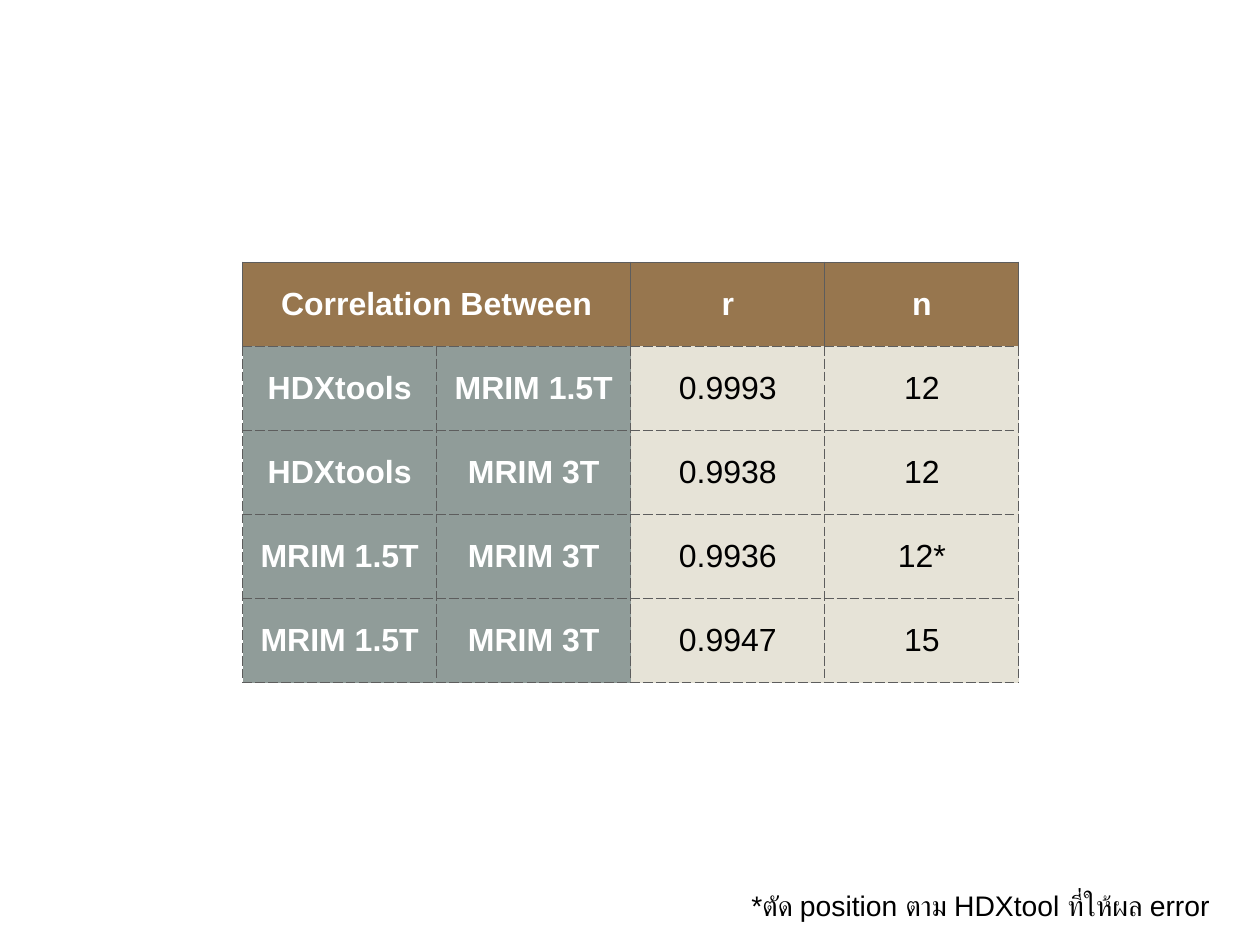
"""Build a slide with a correlation table and a footnote."""
from dataclasses import dataclass

from lxml.etree import SubElement
from pptx import Presentation
from pptx.dml.color import RGBColor
from pptx.enum.text import MSO_ANCHOR, PP_ALIGN
from pptx.oxml.ns import qn
from pptx.util import Inches, Pt

ROWS = [
    ("Correlation Between", "", "r", "n"),
    ("HDXtools", "MRIM 1.5T", "0.9993", "12"),
    ("HDXtools", "MRIM 3T", "0.9938", "12"),
    ("MRIM 1.5T", "MRIM 3T", "0.9936", "12*"),
    ("MRIM 1.5T", "MRIM 3T", "0.9947", "15"),
]
NOTE = "*ตัด position ตาม HDXtool ที่ให้ผล error"
LABEL_COLS = 2
COL_W, ROW_H = 2.19, 0.95
TABLE_LEFT, TABLE_TOP = 2.74, 2.96
INSET = Inches(0.06)


@dataclass(frozen=True)
class Theme:
    font: str = "Arial"
    header: str = "97764E"
    label: str = "909C99"
    value: str = "E6E3D7"
    border: str = "5D5D5D"
    light: str = "FFFFFF"
    dark: str = "000000"
    cell_size: int = 26
    note_size: int = 23
    border_width: int = 1


THEME = Theme()


def write(tf, text, *, size, color, bold=False, align=PP_ALIGN.CENTER):
    p = tf.paragraphs[0]
    p.alignment = align
    r = p.add_run()
    r.text = text
    r.font.name = THEME.font
    r.font.size = Pt(size)
    r.font.bold = bold
    r.font.color.rgb = RGBColor.from_string(color)


def set_insets(obj):
    obj.margin_left = obj.margin_right = INSET
    obj.margin_top = obj.margin_bottom = INSET
    obj.vertical_anchor = MSO_ANCHOR.MIDDLE


def set_borders(cell, dashes):
    tc_pr = cell._tc.get_or_add_tcPr()
    for i, (side, dash) in enumerate(dashes.items()):
        ln = tc_pr.makeelement(qn(f"a:ln{side}"), {"w": str(Pt(THEME.border_width))})
        fill = SubElement(ln, qn("a:solidFill"))
        SubElement(fill, qn("a:srgbClr"), val=THEME.border)
        SubElement(ln, qn("a:prstDash"), val=dash)
        tc_pr.insert(i, ln)


def add_correlations(s):
    n_rows, n_cols = len(ROWS), len(ROWS[0])
    frame = s.shapes.add_table(
        n_rows, n_cols, Inches(TABLE_LEFT), Inches(TABLE_TOP),
        Inches(COL_W * n_cols), Inches(ROW_H * n_rows))
    table = frame.table
    for col in table.columns:
        col.width = Inches(COL_W)
    for row in table.rows:
        row.height = Inches(ROW_H)
    table.cell(0, 0).merge(table.cell(0, LABEL_COLS - 1))
    for i, row in enumerate(ROWS):
        for j, text in enumerate(row):
            cell = table.cell(i, j)
            is_header = i == 0
            is_value = not is_header and j >= LABEL_COLS
            fill = THEME.header if is_header else THEME.value if is_value else THEME.label
            cell.fill.solid()
            cell.fill.fore_color.rgb = RGBColor.from_string(fill)
            set_insets(cell)
            style = "solid" if is_header else "dash"
            set_borders(cell, {"L": style, "R": style, "T": style, "B": "dash"})
            if text:
                write(cell.text_frame, text, size=THEME.cell_size, bold=not is_value,
                      color=THEME.dark if is_value else THEME.light)


def add_note(s):
    sp = s.shapes.add_textbox(Inches(8.42), Inches(9.96), Inches(5.71), Inches(0.53))
    tf = sp.text_frame
    tf.word_wrap = True
    set_insets(tf)
    write(tf, NOTE, size=THEME.note_size, color=THEME.dark, align=PP_ALIGN.LEFT)


def main():
    prs = Presentation()
    prs.slide_width, prs.slide_height = Inches(14.22), Inches(10.67)
    s = prs.slides.add_slide(prs.slide_layouts[6])
    add_correlations(s)
    add_note(s)
    prs.save("out.pptx")


if __name__ == "__main__":
    main()
